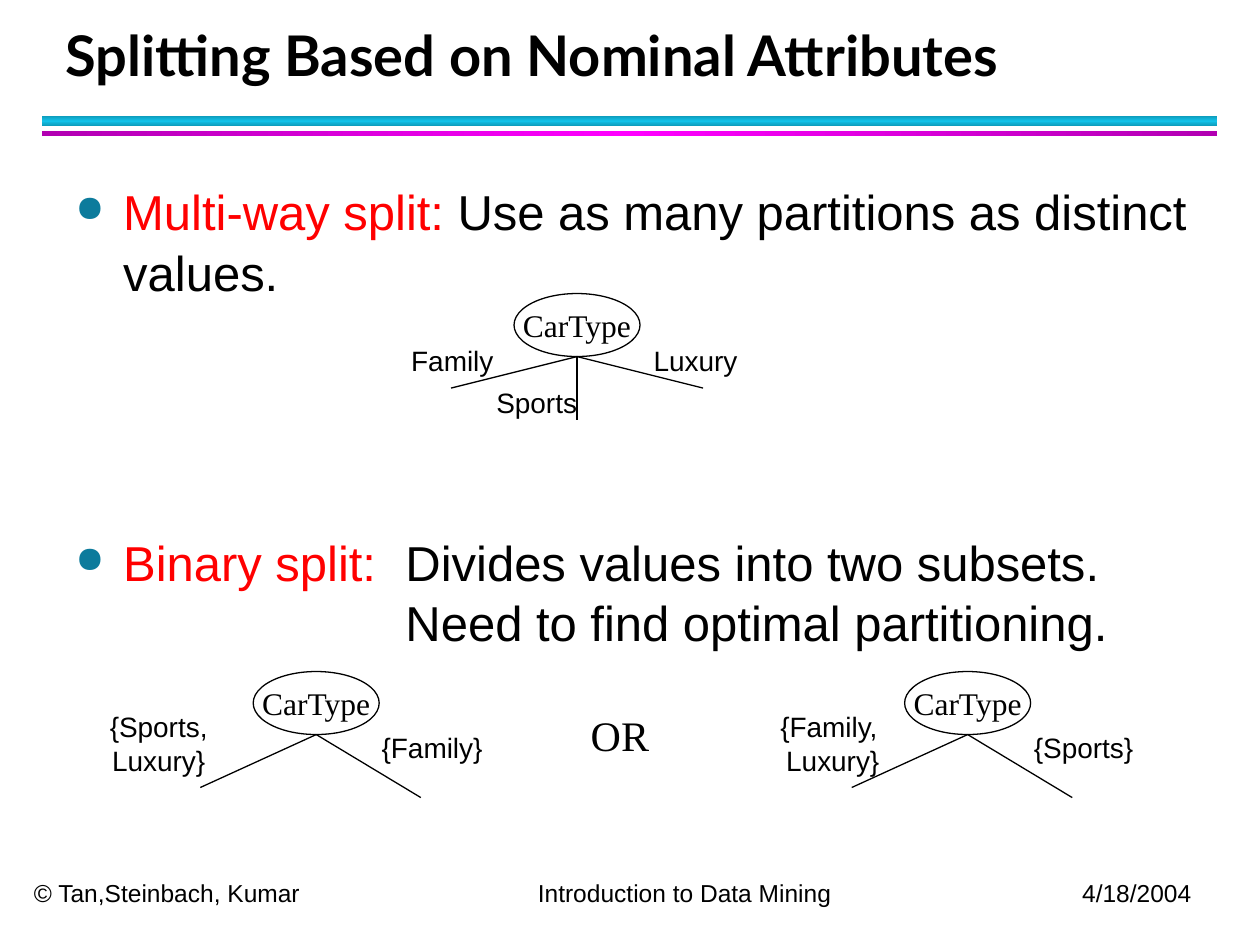
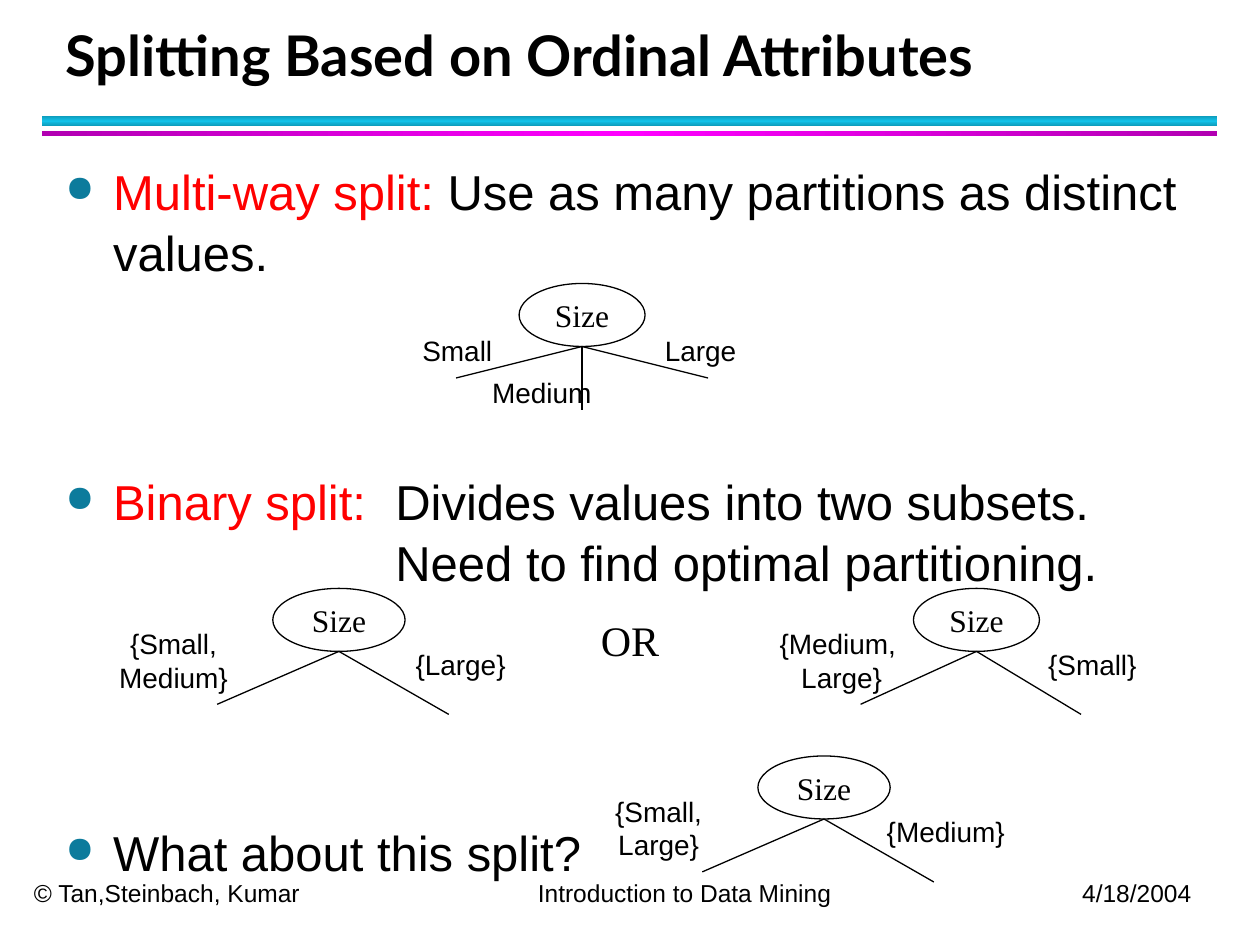
import copy
import pptx
import pptx.dml.color
import pptx.enum.shapes
import pptx.enum.text
import pptx.oxml.ns
import pptx.oxml.xmlchemy
import pptx.util
from lxml import etree

Inches = pptx.util.Inches
Pt = pptx.util.Pt
RGBColor = pptx.dml.color.RGBColor
Shape = pptx.enum.shapes.MSO_SHAPE
Align = pptx.enum.text.PP_ALIGN
Anchor = pptx.enum.text.MSO_ANCHOR
qn = pptx.oxml.ns.qn

BLACK = RGBColor(0, 0, 0)
WHITE = RGBColor(255, 255, 255)
RED = RGBColor(255, 0, 0)
CYAN = RGBColor(0x12, 0xC2, 0xE9)
TEAL = RGBColor(0x0E, 0x9B, 0xBA)
PINK = RGBColor(255, 0, 255)
PLUM = RGBColor(0xB2, 0, 0xB2)
DOT = RGBColor(0x0C, 0x7B, 0x9C)
SANS, SERIF, HEAD = "Arial", "Times New Roman", "Lato"

MULTI = [[("Multi-way split:", RED), (" Use as many partitions as distinct values.", BLACK)]]
BINARY = [[("Binary split:", RED), ("\tDivides values into two subsets.", BLACK)],
          [("\tNeed to find optimal partitioning.", BLACK)]]
ASK = [[("What about this split?", BLACK)]]


def add_run(para, text, size, font, color=BLACK, bold=False):
    run = para.add_run()
    run.text = text
    run.font.size = Pt(size)
    run.font.name = font
    run.font.bold = bold
    run.font.color.rgb = color


def add_tabs(para, stops):
    tabs = etree.SubElement(para._p.get_or_add_pPr(), qn("a:tabLst"))
    for stop in stops:
        etree.SubElement(tabs, qn("a:tab"), pos=str(Inches(stop)), algn="l")


def add_dot(para):
    props = para._p.get_or_add_pPr()
    props.set("marL", str(Inches(0.38)))
    props.set("indent", str(-Inches(0.38)))
    paint = etree.SubElement(props, qn("a:buClr"))
    etree.SubElement(paint, qn("a:srgbClr"), val=str(DOT))
    etree.SubElement(props, qn("a:buSzPct"), val="75000")
    etree.SubElement(props, qn("a:buChar"), char="●")


def add_band(slide, top, height, edge, core, angle):
    band = slide.shapes.add_shape(
        Shape.RECTANGLE, Inches(0.33), Inches(top), Inches(9.33), Inches(height))
    band.shadow.inherit = False
    band.line.fill.background()
    band.fill.gradient()
    band.fill.gradient_angle = angle
    stops = band._element.spPr.find(".//" + qn("a:gsLst"))
    stops.insert(1, copy.deepcopy(stops[0]))
    for stop, place, color in zip(band.fill.gradient_stops, (0, 0.5, 1), (edge, core, edge)):
        stop.position = place
        stop.color.rgb = color


def add_title(slide, text):
    title = slide.shapes.title
    title.left, title.top = Inches(0.42), Inches(0.17)
    title.width, title.height = Inches(9.42), Inches(0.58)
    frame = title.text_frame
    frame.vertical_anchor = Anchor.BOTTOM
    frame.auto_size = pptx.enum.text.MSO_AUTO_SIZE.NONE
    para = frame.paragraphs[0]
    para.alignment = Align.LEFT
    para.line_spacing = Pt(36)
    add_run(para, text, 32, HEAD, bold=True)


def add_foot(slide):
    box = slide.shapes.add_textbox(Inches(0.17), Inches(6.92), Inches(9.58), Inches(0.34))
    box.text_frame.word_wrap = True
    para = box.text_frame.paragraphs[0]
    add_tabs(para, (4, 8.32))
    add_run(para, "© Tan,Steinbach, Kumar\tIntroduction to Data Mining\t4/18/2004", 14, SANS)


def add_body(slide, left, top, height, items):
    box = slide.shapes.add_textbox(Inches(left), Inches(top), Inches(9.17), Inches(height))
    frame = box.text_frame
    frame.word_wrap = True
    for index, (gap, lines) in enumerate(items):
        para = frame.add_paragraph() if index else frame.paragraphs[0]
        add_dot(para)
        add_tabs(para, (2.62,))
        para.line_spacing = 1.03
        para.space_before = Pt(gap)
        for row, line in enumerate(lines):
            if row:
                para.add_line_break()
            for text, color in line:
                add_run(para, text, 28, SANS, color)


def add_label(slide, mid, center, text, size=16, font=SANS):
    wide, high = 1.2, 0.64
    box = slide.shapes.add_textbox(
        Inches(mid - wide / 2), Inches(center - high / 2), Inches(wide), Inches(high))
    frame = box.text_frame
    frame.word_wrap = False
    frame.vertical_anchor = Anchor.MIDDLE
    para = frame.paragraphs[0]
    para.alignment = Align.CENTER
    for row, line in enumerate(text.split("\n")):
        if row:
            para.add_line_break()
        add_run(para, line, size, font)


def add_tree(slide, mid, top, wide, name, ends, labels):
    node = slide.shapes.add_shape(
        Shape.OVAL, Inches(mid - wide / 2), Inches(top), Inches(wide), Inches(0.5))
    node.shadow.inherit = False
    node.fill.solid()
    node.fill.fore_color.rgb = WHITE
    node.line.color.rgb = BLACK
    node.line.width = Pt(0.75)
    frame = node.text_frame
    frame.word_wrap = False
    frame.vertical_anchor = Anchor.MIDDLE
    frame.paragraphs[0].alignment = Align.CENTER
    add_run(frame.paragraphs[0], name, 18, SERIF)
    for shift, drop in ends:
        line = slide.shapes.add_connector(
            pptx.enum.shapes.MSO_CONNECTOR.STRAIGHT, Inches(mid), Inches(top + 0.5),
            Inches(mid + shift * wide), Inches(top + 0.5 + drop))
        line.line.color.rgb = BLACK
        line.line.width = Pt(0.75)
        etree.SubElement(line._element.spPr, qn("a:effectLst"))
    for shift, drop, text in labels:
        add_label(slide, mid + shift * wide, top + drop, text)


def add_multi(slide, mid, top, name, left, inner, right):
    add_tree(slide, mid, top, 1, name, ((-1, 0.25), (0, 0.5), (1, 0.25)),
             ((-0.99, 0.53, left), (-0.32, 0.86, inner), (0.94, 0.53, right)))


def add_pair(slide, mid, top, wide, name, shift, left, right):
    add_tree(slide, mid, top, wide, name, ((-0.92, 0.42), (0.83, 0.5)),
             ((shift, 0.57, left), (0.92, 0.6, right)))


def add_page(deck, title):
    slide = deck.slides.add_slide(deck.slide_layouts[5])
    add_band(slide, 0.92, 0.08, TEAL, CYAN, 90)
    add_band(slide, 1.04, 0.04, PLUM, PINK, 0)
    add_title(slide, title)
    add_foot(slide)
    return slide


def add_nominal(deck):
    slide = add_page(deck, "Splitting Based on Nominal Attributes")
    add_body(slide, 0.5, 1.38, 4.08, ((0, MULTI), (131, BINARY)))
    name = "CarType"
    add_multi(slide, 4.58, 2.33, name, "Family", "Sports", "Luxury")
    add_pair(slide, 2.51, 5.33, 1, name, -1.25, "{Sports,\nLuxury}", "{Family}")
    add_pair(slide, 7.68, 5.33, 1, name, -1.07, "{Family, \nLuxury}", "{Sports}")
    add_label(slide, 4.92, 5.83, "OR", 24, SERIF)


def add_ordinal(deck):
    slide = add_page(deck, "Splitting Based on Ordinal Attributes")
    add_body(slide, 0.42, 1.22, 5.7, ((0, MULTI), (108, BINARY), (131, ASK)))
    name = "Size"
    add_multi(slide, 4.62, 2.25, name, "Small", "Medium", "Large")
    add_pair(slide, 2.69, 4.67, 1.05, name, -1.25, "{Small,\nMedium}", "{Large}")
    add_pair(slide, 7.75, 4.67, 1, name, -1.07, "{Medium, \nLarge}", "{Small}")
    add_pair(slide, 6.54, 6, 1.05, name, -1.25, "{Small,\nLarge}", "{Medium}")
    add_label(slide, 5, 5.08, "OR", 24, SERIF)


def main():
    deck = pptx.Presentation()
    deck.slide_width, deck.slide_height = Inches(10), Inches(7.5)
    add_nominal(deck)
    add_ordinal(deck)
    deck.save("out.pptx")


if __name__ == "__main__":
    main()
